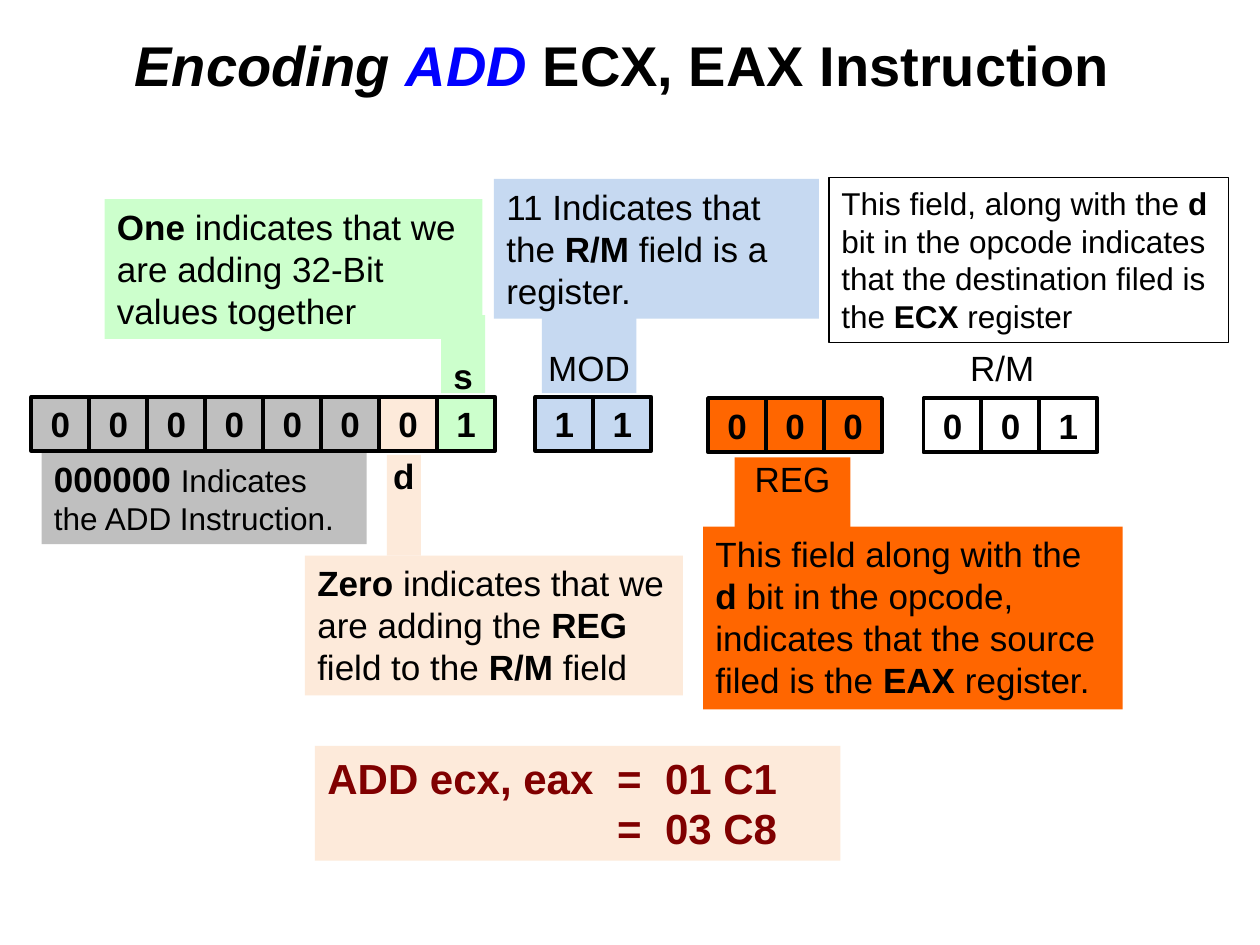
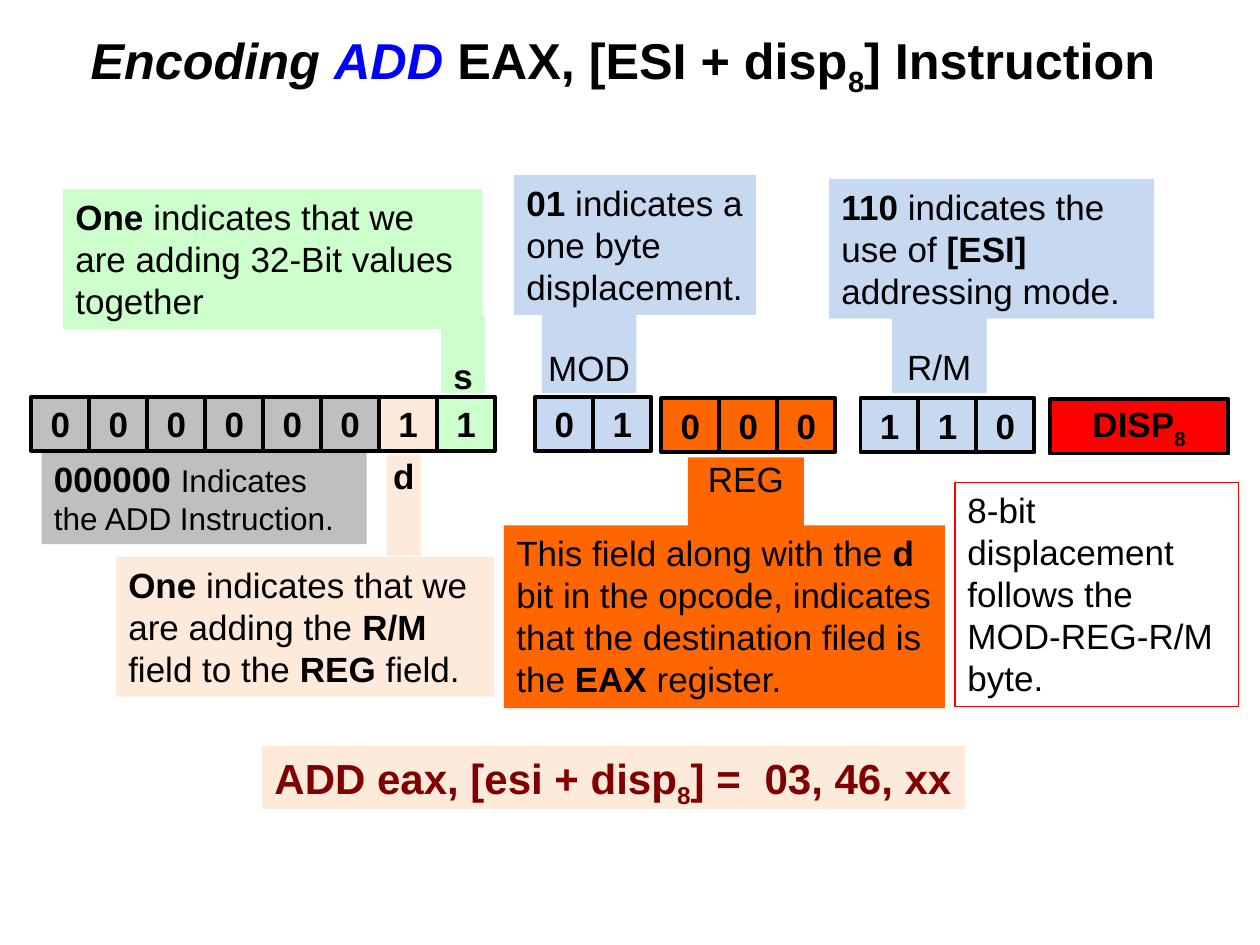
from lxml.etree import SubElement
from pptx import Presentation
from pptx.dml.color import RGBColor
from pptx.enum.shapes import MSO_SHAPE
from pptx.enum.text import MSO_ANCHOR, MSO_AUTO_SIZE, PP_ALIGN
from pptx.oxml.ns import qn
from pptx.util import Inches, Pt

BLACK, WHITE, BLUE, RED, MAROON = "000000", "FFFFFF", "0000FF", "FF0000", "800000"
GREY, PEACH, GREEN, PALE_BLUE, ORANGE = "BFBFBF", "FDEADA", "CCFFCC", "C6D9F1", "FF6600"
FONT = "Arial"
BIT_WIDTH, BIT_HEIGHT = 0.46, 0.43
OPCODE_TOP, MODRM_TOP = 3.15, 3.16


def colour(value):
    return RGBColor.from_string(value)


def write(para, marked, size=20, ink=BLACK, bold=False, italic=False):
    """Add text to a paragraph; *stars* switch bold, ~tildes~ mark a subscript."""
    for star, part in enumerate(marked.split("*")):
        for tilde, words in enumerate(part.split("~")):
            if not words:
                continue
            span = para.add_run()
            span.text = words
            span.font.name = FONT
            span.font.size = Pt(size)
            span.font.bold = bold or star % 2 == 1
            span.font.italic = italic
            span.font.color.rgb = colour(ink)
            if tilde % 2:
                span._r.get_or_add_rPr().set("baseline", "-25000")


def add_tab_stops(para, stops):
    tab_list = SubElement(para._p.get_or_add_pPr(), qn("a:tabLst"))
    for stop in stops:
        SubElement(tab_list, qn("a:tab"), pos=str(Inches(stop)), algn="l")


class EncodingPage:
    """One slide that explains the bits of an encoded instruction."""

    def __init__(self, deck):
        self.slide = deck.slides.add_slide(deck.slide_layouts[5])

    def title(self, operands, size):
        box = self.slide.shapes.title
        box.left, box.top, box.width, box.height = map(Inches, (0.5, 0.17, 9, 0.67))
        frame = box.text_frame
        frame.auto_size = MSO_AUTO_SIZE.NONE
        frame.vertical_anchor = MSO_ANCHOR.MIDDLE
        para = frame.paragraphs[0]
        para.alignment = PP_ALIGN.CENTER
        write(para, "Encoding ", size, bold=True, italic=True)
        write(para, "ADD ", size, BLUE, bold=True, italic=True)
        write(para, f"{operands} Instruction ", size, bold=True)

    def rectangle(self, place, fill, line=None, line_width=0.75, shapes=None):
        shapes = shapes or self.slide.shapes
        box = shapes.add_shape(MSO_SHAPE.RECTANGLE, *map(Inches, place))
        box.shadow.inherit = False
        if fill:
            box.fill.solid()
            box.fill.fore_color.rgb = colour(fill)
        else:
            box.fill.background()
        if line:
            box.line.color.rgb = colour(line)
            box.line.width = Pt(line_width)
        else:
            box.line.fill.background()
        return box

    def note(self, place, fill, *lines, size=20, ink=BLACK, bold=False, line=None, stops=()):
        frame = self.rectangle(place, fill, line).text_frame
        frame.word_wrap = True
        frame.auto_size = MSO_AUTO_SIZE.SHAPE_TO_FIT_TEXT
        frame.vertical_anchor = MSO_ANCHOR.TOP
        for index, words in enumerate(lines):
            para = frame.add_paragraph() if index else frame.paragraphs[0]
            para.alignment = PP_ALIGN.LEFT
            if stops:
                add_tab_stops(para, stops)
            write(para, words, size, ink, bold)

    def result(self, place, stops, *lines):
        self.note(place, PEACH, *lines, size=24, ink=MAROON, bold=True, stops=stops)

    def centred(self, box, words, bold, anchor, drop=0):
        frame = box.text_frame
        frame.margin_left = frame.margin_right = frame.margin_bottom = 0
        frame.margin_top = Inches(drop)
        frame.vertical_anchor = anchor
        para = frame.paragraphs[0]
        para.alignment = PP_ALIGN.CENTER
        write(para, words, bold=bold)

    def cell(self, place, fill, words, shapes=None):
        box = self.rectangle(place, fill, BLACK, 2.25, shapes)
        self.centred(box, words, True, MSO_ANCHOR.MIDDLE)

    def bits(self, left, top, digits, fills):
        group = self.slide.shapes.add_group_shape()
        for index, (digit, fill) in enumerate(zip(digits, fills)):
            place = (left + index * BIT_WIDTH, top, BIT_WIDTH, BIT_HEIGHT)
            self.cell(place, fill, digit, group.shapes)

    def label(self, place, fill, words, bold=False, drop=0):
        """Name a field on a strip that joins its bits to its note."""
        box = self.rectangle(place, fill)
        box.text_frame.word_wrap = False
        self.centred(box, words, bold, MSO_ANCHOR.TOP, drop)

    def opcode(self, direction, size_note, direction_note):
        self.note((0.33, 3.58, 2.58, 0.74), GREY)
        para = self.slide.shapes[-1].text_frame.paragraphs[0]
        para.alignment = PP_ALIGN.LEFT
        write(para, "000000 ", bold=True)
        write(para, "Indicates the ADD Instruction.", 18)
        place, words = direction_note
        self.note(place, PEACH, words)
        self.bits(0.25, OPCODE_TOP, f"000000{direction}1", [GREY] * 6 + [PEACH, GREEN])
        self.label((3.07, 3.61, 0.27, 0.8), PEACH, "d", bold=True)
        self.note(size_note, GREEN, "*One *indicates that we are adding 32-Bit values together")
        self.label((3.5, 2.5, 0.35, 0.62), GREEN, "s", bold=True, drop=0.31)

    def mod(self, digits, place, words):
        self.note(place, PALE_BLUE, words)
        self.bits(4.25, OPCODE_TOP, digits, [PALE_BLUE] * 2)
        self.label((4.3, 2.5, 0.75, 0.62), PALE_BLUE, "MOD", drop=0.25)

    def reg(self, left, place, role):
        self.note(place, ORANGE, "This field along with the *d *bit in the opcode, "
                  f"indicates that the {role} filed is the* EAX *register.")
        self.bits(left, MODRM_TOP, "000", [ORANGE] * 3)
        self.label((left + 0.21, 3.63, 0.92, 0.62), ORANGE, "REG")

    def rm(self, left, digits, fill, label_top, drop=0):
        self.bits(left, MODRM_TOP, digits, [fill] * 3)
        self.label((left + 0.25, label_top, 0.75, 3.12 - label_top), fill, "R/M", drop=drop)


def register_page(deck):
    page = EncodingPage(deck)
    page.title("ECX, EAX", 32)
    page.opcode("0", (0.83, 1.58, 3, 1.11),
                ((2.42, 4.41, 3, 1.11),
                 "*Zero *indicates that we are adding the *REG* field to the *R/M *field"))
    page.mod("11", (3.92, 1.42, 2.58, 1.11),
             "11 Indicates that the *R/M* field is a register.")
    page.reg(5.62, (5.58, 4.18, 3.33, 1.45), "source")
    page.note((6.58, 1.41, 3.17, 1.31), WHITE,
              "This field, along with the *d* bit in the opcode indicates "
              "that the destination filed is the *ECX* register", size=18, line=BLACK)
    page.rm(7.33, "001", WHITE, 2.75)
    page.result((2.5, 5.92, 4.17, 0.91), (2.3, 2.68),
                "ADD ecx, eax\t=\t01 C1", "\t=\t03 C8")


def displacement_page(deck):
    page = EncodingPage(deck)
    page.title("EAX, [ESI + disp~8~]", 28.8)
    page.opcode("1", (0.5, 1.5, 3.33, 1.11),
                ((0.92, 4.42, 3, 1.11),
                 "*One *indicates that we are adding the *R/M* field to the *REG *field."))
    page.mod("01", (4.08, 1.39, 1.92, 1.11), "*01 *indicates a one byte displacement.")
    page.reg(5.25, (4, 4.17, 3.5, 1.45), "destination")
    page.rm(6.83, "110", PALE_BLUE, 2.52, drop=0.22)
    page.result((2.08, 5.92, 5.58, 0.5), (3.89,), "ADD eax, [esi + disp~8~] =\t03, 46, xx")
    page.note((6.58, 1.42, 2.58, 1.11), PALE_BLUE,
              "*110 *indicates the use of *[ESI] *addressing mode.")
    page.cell((8.33, 3.17, 1.42, BIT_HEIGHT), RED, "DISP~8~")
    page.note((7.58, 3.83, 2.25, 1.78), None,
              "8-bit displacement follows the MOD-REG-R/M byte.", line=RED)


def main():
    deck = Presentation()
    deck.slide_width, deck.slide_height = Inches(10), Inches(7.5)
    register_page(deck)
    displacement_page(deck)
    deck.save("out.pptx")


if __name__ == "__main__":
    main()
